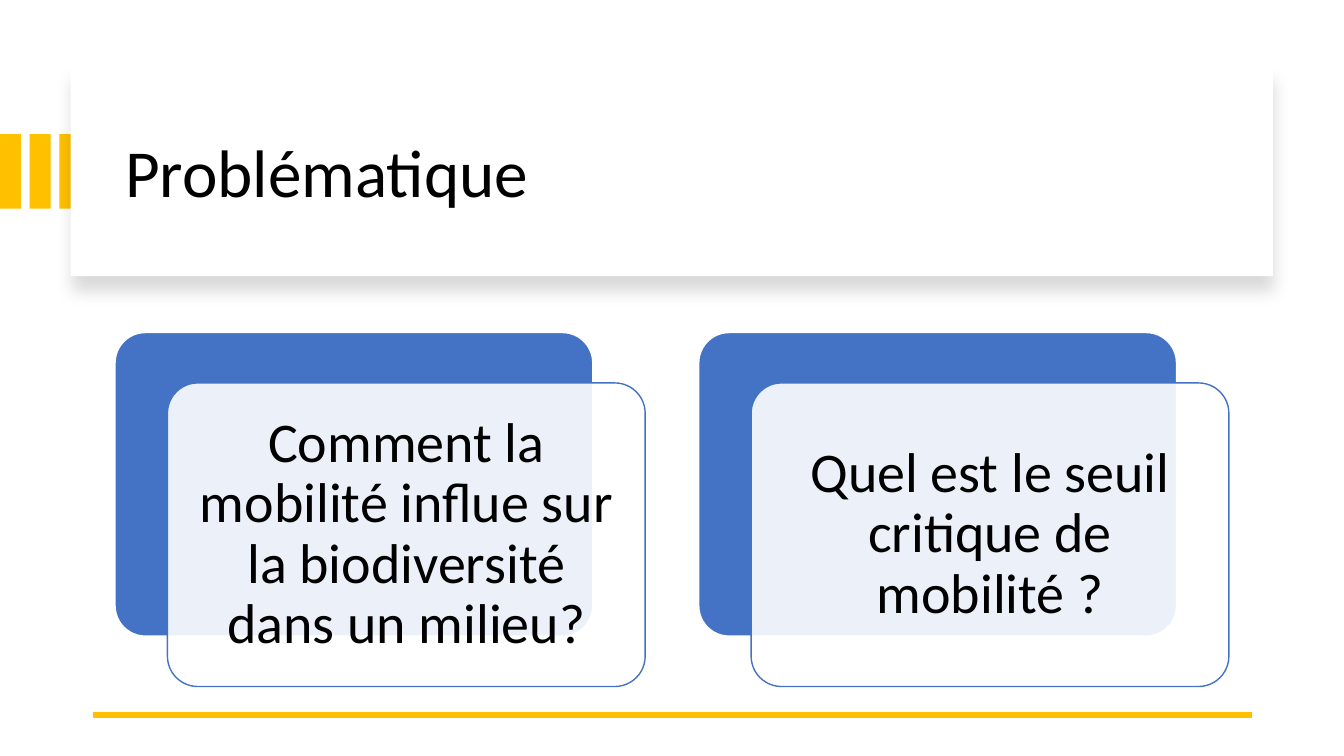
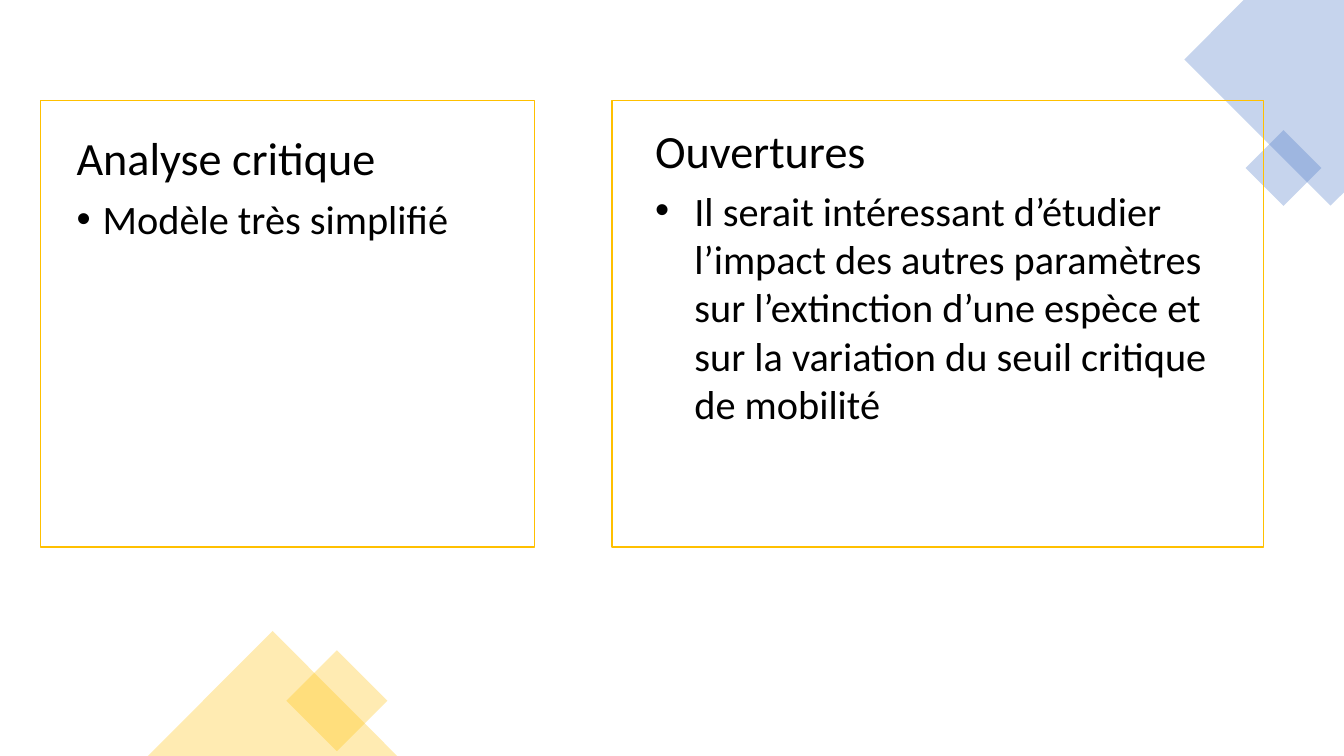
import pptx
import pptx.util
import pptx.dml.color
import pptx.enum.shapes
import pptx.enum.text
import pptx.oxml
import pptx.oxml.ns
import lxml.etree

Cm = pptx.util.Cm
Pt = pptx.util.Pt
KIND = pptx.enum.shapes.MSO_SHAPE
ALIGN = pptx.enum.text.PP_ALIGN
ANCHOR = pptx.enum.text.MSO_ANCHOR
qn = pptx.oxml.ns.qn

FONT = "Calibri"
GOLD, BLUE, WHITE, BLACK = "FFC000", "4472C4", "FFFFFF", "000000"
WIDE, HIGH = 33.87, 19.05
VEIL = 30


def color(text):
    """Turn a hex string into a colour."""
    return pptx.dml.color.RGBColor.from_string(text)


def paint(shape, fill=None, alpha=100, line=None):
    """Set fill, opacity in percent and outline of a shape without shadow."""
    shape.shadow.inherit = False
    if fill:
        shape.fill.solid()
        shape.fill.fore_color.rgb = color(fill)
        if alpha < 100:
            tint = shape._element.spPr.find(".//" + qn("a:srgbClr"))
            lxml.etree.SubElement(tint, qn("a:alpha"), val=str(alpha * 1000))
    else:
        shape.fill.background()
    if line:
        shape.line.color.rgb = color(line)
        shape.line.width = Pt(1)
    else:
        shape.line.fill.background()
    return shape


def add(slide, kind, box, turn=0, **look):
    """Add a painted preset shape at a box given in centimetres."""
    shape = slide.shapes.add_shape(kind, *map(Cm, box))
    shape.rotation = turn
    return paint(shape, **look)


def style(para, size, align=ALIGN.LEFT, lead=0.9):
    """Format one paragraph and its runs."""
    para.alignment = align
    para.line_spacing = lead
    for run in para.runs:
        run.font.size = Pt(size)
        run.font.name = FONT
        run.font.color.rgb = color(BLACK)


def bullet(para, hang):
    """Give a paragraph a round bullet with a hanging indent."""
    props = para._p.get_or_add_pPr()
    props.set("marL", str(Cm(hang)))
    props.set("indent", str(-Cm(hang)))
    lxml.etree.SubElement(props, qn("a:buFont"), typeface="Arial")
    lxml.etree.SubElement(props, qn("a:buChar"), char="•")


def shade(shape):
    """Cast a soft shadow straight down."""
    effects = shape._element.spPr.find(qn("a:effectLst"))
    cast = lxml.etree.SubElement(
        effects, qn("a:outerShdw"), blurRad=str(Pt(11)), dist=str(Pt(10)),
        dir="5400000", algn="t", rotWithShape="0")
    tint = lxml.etree.SubElement(cast, qn("a:srgbClr"), val=BLACK)
    lxml.etree.SubElement(tint, qn("a:alpha"), val="15000")


def header(slide, text):
    """Draw the gold bars, the raised panel and the title on it."""
    for i in range(3):
        add(slide, KIND.RECTANGLE, (0.75 * i, 3.38, 0.53, 1.88), fill=GOLD)
    shade(add(slide, KIND.RECTANGLE, (1.78, 1.7, 30.3, 5.26), fill=WHITE))
    title = slide.shapes.title
    title.left, title.top, title.width, title.height = map(
        Cm, (2.9, 2.26, 28.27, 4.32))
    frame = title.text_frame
    frame.text = text
    frame.auto_size = pptx.enum.text.MSO_AUTO_SIZE.NONE
    frame.vertical_anchor = ANCHOR.MIDDLE
    style(frame.paragraphs[0], 48)
    slide.shapes._spTree.append(title._element)


def rule(slide, left, right, y):
    """Draw the thick gold line at the foot."""
    line = slide.shapes.add_connector(
        pptx.enum.shapes.MSO_CONNECTOR.STRAIGHT,
        Cm(right), Cm(y), Cm(left), Cm(y))
    line.line.color.rgb = color(GOLD)
    line.line.width = Pt(4.5)
    lxml.etree.SubElement(line._element.spPr, qn("a:effectLst"))


def card(slide, left, top, text):
    """Draw a blue card with a translucent text card laid over it."""
    size = (12.04, 7.65)
    back = add(slide, KIND.ROUNDED_RECTANGLE, (left, top, *size),
               fill=BLUE, line=WHITE)
    front = add(slide, KIND.ROUNDED_RECTANGLE,
                (left + 1.32, top + 1.27, *size),
                fill=WHITE, alpha=90, line=BLUE)
    for shape in (back, front):
        shape.adjustments[0] = 0.1
    frame = front.text_frame
    frame.text = text
    frame.word_wrap = True
    frame.vertical_anchor = ANCHOR.MIDDLE
    frame.margin_left = frame.margin_right = Cm(0.43)
    frame.margin_top = frame.margin_bottom = Cm(0.43)
    style(frame.paragraphs[0], 40, ALIGN.CENTER)


def note(slide, box, head, point, hang, lead, before, after):
    """Write a heading with one bullet point under it."""
    frame = slide.shapes.add_textbox(*map(Cm, box)).text_frame
    frame.word_wrap = True
    frame.text = head + "\n" + point
    for para, size in zip(frame.paragraphs, (33, 28.8)):
        style(para, size, lead=lead)
        para.space_before = Pt(before)
        para.space_after = Pt(after)
    bullet(frame.paragraphs[1], hang)


def corner(slide):
    """Draw the blue diamonds in the top right corner."""
    pen = slide.shapes.build_freeform(Cm(WIDE), 0)
    points = ((31.34, 0), (29.85, 1.5), (33.53, 5.18), (WIDE, 4.85))
    pen.add_line_segments([(Cm(x), Cm(y)) for x, y in points])
    paint(pen.convert_to_shape(), BLUE, VEIL)
    add(slide, KIND.RECTANGLE, (31.67, 3.56, 1.35, 1.35), 45,
        fill=BLUE, alpha=VEIL)


def peak(slide):
    """Draw the gold diamond and triangle at the foot."""
    add(slide, KIND.RECTANGLE, (7.59, 16.76, 1.8, 1.8), 45,
        fill=GOLD, alpha=VEIL)
    add(slide, KIND.ISOSCELES_TRIANGLE, (3.73, 15.9, 6.28, 3.15),
        fill=GOLD, alpha=VEIL)


def issue(deck):
    """Build the slide with the two questions."""
    slide = deck.slides.add_slide(deck.slide_layouts[5])
    header(slide, "Problématique")
    rule(slide, 2.34, 31.55, 18.01)
    asks = ("Comment la mobilité influe sur la biodiversité dans un milieu?",
            "Quel est le seuil critique de mobilité ?")
    for i, text in enumerate(asks):
        card(slide, 2.9 + 14.71 * i, 8.38, text)


def review(deck):
    """Build the slide with the critique and the outlook."""
    slide = deck.slides.add_slide(deck.slide_layouts[6])
    corner(slide)
    peak(slide)
    note(slide, (1.68, 3.28, 12.45, 3.23), "Analyse critique",
         "Modèle très simplifié", 0.66, 0.9, 10.3, 0)
    note(slide, (16.26, 2.95, 15.14, 8.05), "Ouvertures",
         "Il serait intéressant d’étudier l’impact des autres paramètres "
         "sur l’extinction d’une espèce et sur la variation du seuil "
         "critique de mobilité", 0.99, 1.0, 0, 6)
    for left, width in ((1.02, 12.45), (15.42, 16.43)):
        add(slide, KIND.RECTANGLE, (left, 2.54, width, 11.25), line=GOLD)


def main():
    """Build and save the deck."""
    deck = pptx.Presentation()
    deck.slide_width, deck.slide_height = Cm(WIDE), Cm(HIGH)
    issue(deck)
    review(deck)
    deck.save("out.pptx")


if __name__ == "__main__":
    main()
